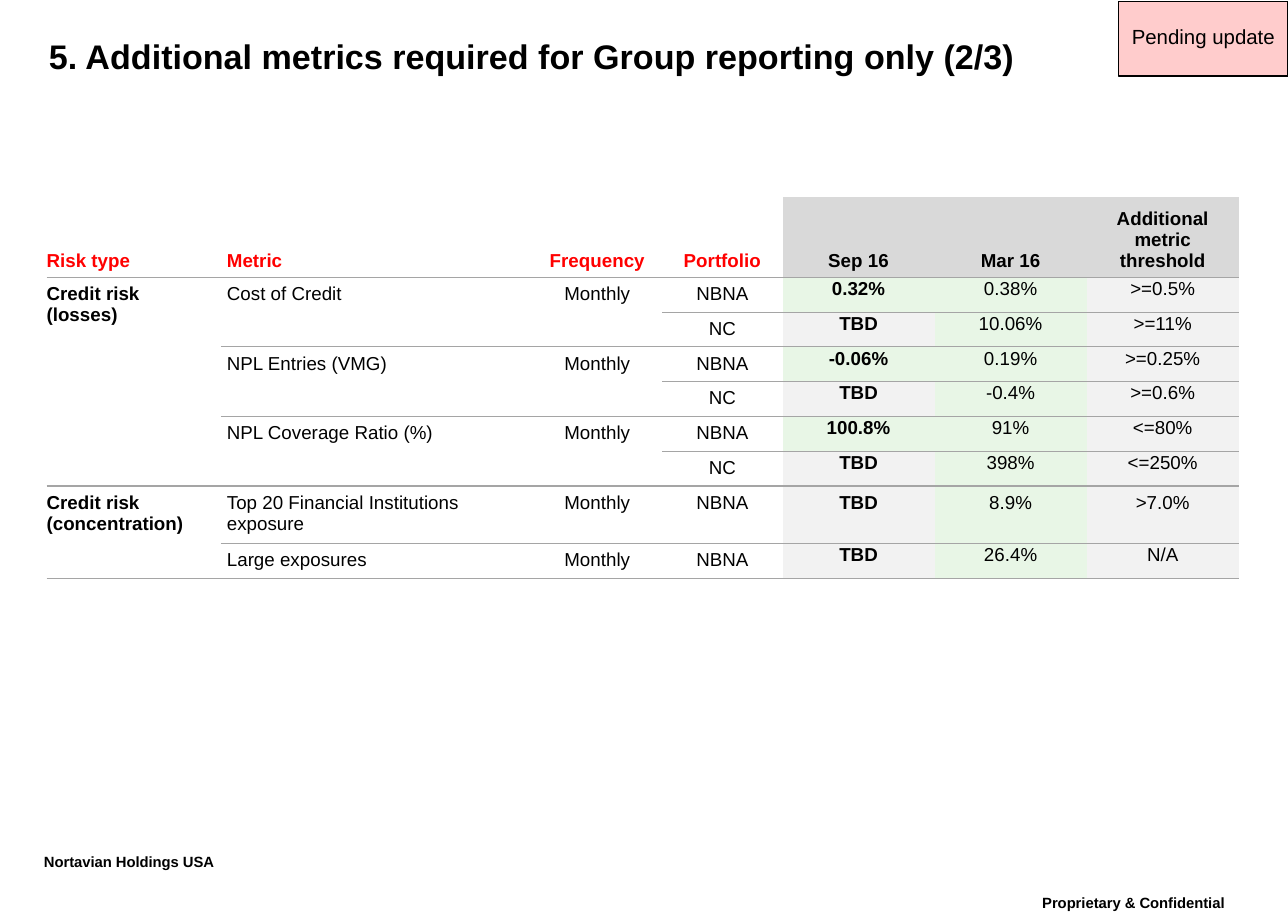
from pptx import Presentation
from pptx.dml.color import RGBColor as Rgb
from pptx.enum.shapes import MSO_SHAPE as Preset
from pptx.enum.text import MSO_ANCHOR as Anchor, PP_ALIGN as Align
from pptx.oxml import parse_xml
from pptx.oxml.ns import nsdecls
from pptx.util import Inches, Pt

COLOURS = {
    "ink": "000000", "heading": "FF0000", "rule": "A5A5A5", "badge": "FFCCCC",
    "header": "D9D9D9", "pending": "F2F2F2", "good": "E8F6E6",
}
NO_GRID_STYLE = "{2D5ABB26-0587-4C30-8999-92F81FD0307C}"

HEADERS = ["Risk type", "Metric", "Frequency", "Portfolio",
           "Sep 16", "Mar 16", "Additional metric threshold"]
ROWS = [
    ["Credit risk (losses)", "Cost of Credit", "Monthly", "NBNA", "0.32%", "0.38%", ">=0.5%"],
    ["", "", "", "NC", "TBD", "10.06%", ">=11%"],
    ["", "NPL Entries (VMG)", "Monthly", "NBNA", "-0.06%", "0.19%", ">=0.25%"],
    ["", "", "", "NC", "TBD", "-0.4%", ">=0.6%"],
    ["", "NPL Coverage Ratio (%)", "Monthly", "NBNA", "100.8%", "91%", "<=80%"],
    ["", "", "", "NC", "TBD", "398%", "<=250%"],
    ["Credit risk (concentration)", "Top 20 Financial Institutions exposure",
     "Monthly", "NBNA", "TBD", "8.9%", ">7.0%"],
    ["", "Large exposures", "Monthly", "NBNA", "TBD", "26.4%", "N/A"],
]
RISK, METRIC, PORTFOLIO, SEP, MAR = 0, 1, 3, 4, 5
TALL_ROW = 7
# Merged cells: column, first row, last row
SPANS = [(RISK, 1, 6), (RISK, 7, 8)] + [
    (column, row, row + 1) for column in (1, 2) for row in (1, 3, 5)]
# Rules: row above, first column, width in points
RULES = [(0, RISK, 1), (1, PORTFOLIO, 0.75), (2, METRIC, 0.75),
         (3, PORTFOLIO, 0.75), (4, METRIC, 0.75), (5, PORTFOLIO, 0.75),
         (6, RISK, 1), (7, METRIC, 0.75), (8, RISK, 1)]


class SlideBuilder:
    """Places elements on a grid of 105 columns by 75 rows."""

    font = "Arial"
    columns, rows = 105, 75

    def __init__(self, deck):
        self.slide = deck.slides.add_slide(deck.slide_layouts[6])
        self.column = deck.slide_width / self.columns
        self.row = deck.slide_height / self.rows

    def place(self, left, top, width, height):
        return (round(left * self.column), round(top * self.row),
                round(width * self.column), round(height * self.row))

    def add_text(self, frame, text, size, bold=False, colour="ink",
                 align=Align.LEFT, line=None, gap=0, raised=False):
        para = frame.paragraphs[0]
        para.alignment = align
        para.space_after = Pt(gap)
        if line:
            para.line_spacing = line
        span = para.add_run()
        span.text = text
        span.font.name, span.font.size, span.font.bold = self.font, Pt(size), bold
        span.font.color.rgb = Rgb.from_string(COLOURS[colour])
        if raised:
            span._r.get_or_add_rPr().set("baseline", "30000")

    def text(self, area, text, size, wrap=True, **style):
        box = self.slide.shapes.add_textbox(*self.place(*area))
        box.text_frame.word_wrap = wrap
        self.add_text(box.text_frame, text, size, bold=True, line=0.86, **style)

    def badge(self, area, text):
        box = self.slide.shapes.add_shape(Preset.RECTANGLE, *self.place(*area))
        box.shadow.inherit = False
        box.fill.solid()
        box.fill.fore_color.rgb = Rgb.from_string(COLOURS["badge"])
        box.line.color.rgb = Rgb.from_string(COLOURS["ink"])
        box.line.width = Pt(0.75)
        frame = box.text_frame
        frame.word_wrap, frame.vertical_anchor = True, Anchor.MIDDLE
        frame.margin_left = frame.margin_right = Inches(0.05)
        self.add_text(frame, text, 12, align=Align.CENTER, line=0.86)

    def table(self, area, widths, heights):
        row_count, column_count = len(heights), len(widths)
        frame = self.slide.shapes.add_table(row_count, column_count, *self.place(*area))
        grid = frame.table
        grid.first_row = grid.horz_banding = False
        grid._tbl.tblPr[0].text = NO_GRID_STYLE
        for column, width in zip(grid.columns, widths):
            column.width = round(width * self.column)
        for row, height in zip(grid.rows, heights):
            row.height = round(height * self.row)
        return grid

    def border(self, cell, side, width):
        cell._tc.get_or_add_tcPr().append(parse_xml(
            f'<a:{side} {nsdecls("a")} w="{int(Pt(width))}"><a:solidFill>'
            f'<a:srgbClr val="{COLOURS["rule"]}"/></a:solidFill></a:{side}>'))

    def rule(self, grid, row, first, width):
        last_row = len(grid.rows) - 1
        for column in range(first, len(grid.columns)):
            tops = [top for where, top, end in SPANS if where == column and end == row]
            for top in {row, *tops}:
                self.border(grid.cell(top, column), "lnB", width)
            if row < last_row:
                self.border(grid.cell(row + 1, column), "lnT", width)

    def cell(self, cell, text, fill, compact, flush, **style):
        if fill:
            cell.fill.solid()
            cell.fill.fore_color.rgb = Rgb.from_string(COLOURS[fill])
        else:
            cell.fill.background()
        if cell.is_spanned:
            return
        pad = Inches(0.01 if compact else 0.05)
        cell.margin_left = 0 if flush else pad
        cell.margin_right = cell.margin_top = pad
        cell.margin_bottom = 0 if compact else pad
        self.add_text(cell.text_frame, text, 11, gap=0 if compact else 2, **style)


def fill_for(row, column, text):
    if column < SEP:
        return None
    if row == 0:
        return "header"
    return "good" if column <= MAR and text != "TBD" else "pending"


def main():
    deck = Presentation()
    deck.slide_width, deck.slide_height = Inches(10.5), Inches(7.5)
    page = SlideBuilder(deck)

    # Footer
    page.text((81.5, 72.5, 21.8, 3.5), "Proprietary & Confidential", 15,
              align=Align.CENTER, raised=True)
    page.text((2.6, 69.1, 19.1, 3.5), "Nortavian Holdings USA", 15,
              wrap=False, raised=True)

    # Title and status badge
    page.text((3, 2.9, 98.2, 3.9),
              "5. Additional metrics required for Group reporting only (2/3)", 20)
    page.badge((91.2, 0.1, 13.8, 6.1), "Pending update")

    # Metrics table
    heights = [6.5] + [2.84] * len(ROWS)
    heights[TALL_ROW] = 4.7
    widths = [14.2, 25.4, 10.6, 9.8] + [12.4] * 3
    grid = page.table((3.8, 16.1, sum(widths), sum(heights)), widths, heights)
    for column, top, end in SPANS:
        grid.cell(top, column).merge(grid.cell(end, column))
    for row, first, width in RULES:
        page.rule(grid, row, first, width)
    for row, texts in enumerate([HEADERS] + ROWS):
        for column, text in enumerate(texts):
            cell = grid.cell(row, column)
            cell.vertical_anchor = Anchor.TOP if row else Anchor.BOTTOM
            page.cell(
                cell, text, fill_for(row, column, text),
                compact=column >= SEP and row not in (0, TALL_ROW),
                flush=column == RISK,
                bold=row == 0 or column in (RISK, SEP),
                colour="heading" if row == 0 and column < SEP else "ink",
                align=Align.LEFT if column <= METRIC else Align.CENTER)

    deck.save("out.pptx")


if __name__ == "__main__":
    main()
